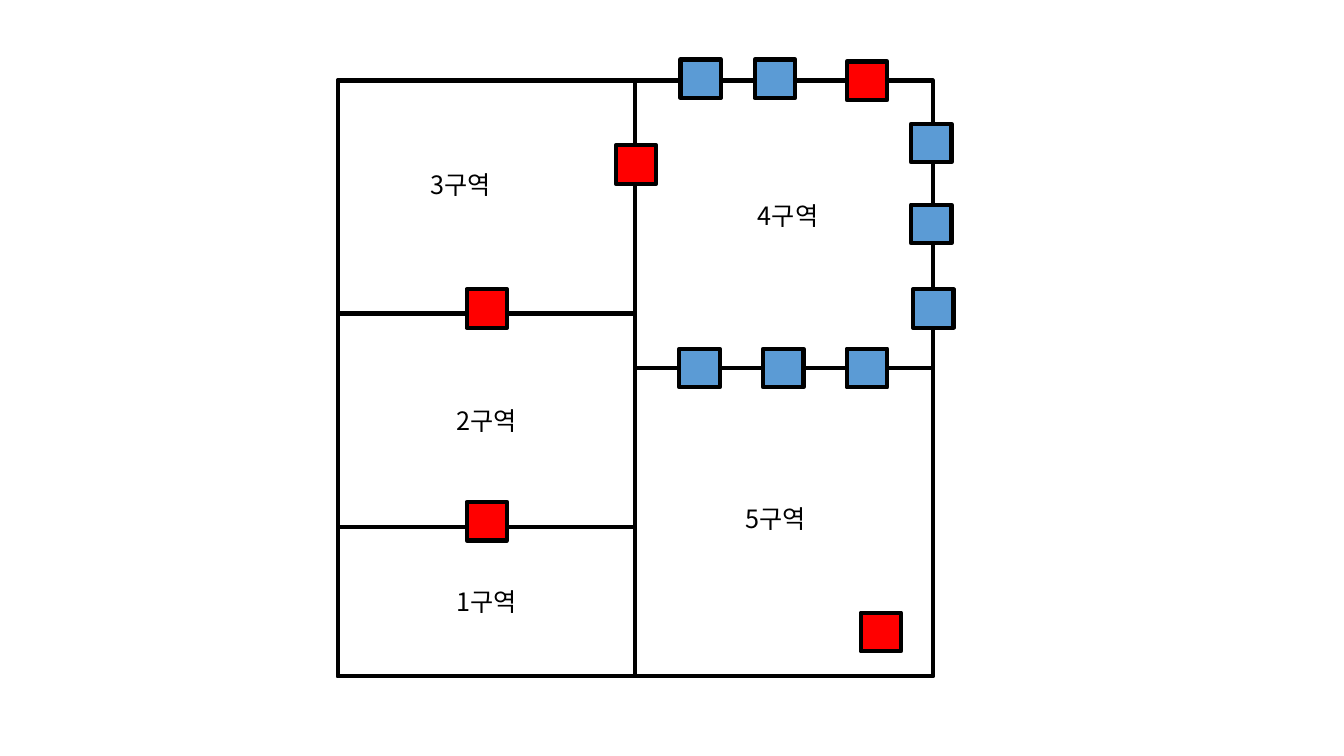
from dataclasses import dataclass

from lxml.etree import SubElement
from pptx import Presentation
from pptx.dml.color import RGBColor
from pptx.enum.shapes import MSO_SHAPE as Preset
from pptx.enum.text import MSO_ANCHOR as Anchor, MSO_AUTO_SIZE as AutoSize, PP_ALIGN as Align
from pptx.oxml.ns import qn
from pptx.shapes.autoshape import Shape
from pptx.shapes.shapetree import SlideShapes
from pptx.text.text import TextFrame
from pptx.util import Cm, Pt

WHITE = RGBColor(0xFF, 0xFF, 0xFF)
BLACK = RGBColor(0x00, 0x00, 0x00)
RED = RGBColor(0xFF, 0x00, 0x00)
BLUE = RGBColor(0x5B, 0x9B, 0xD5)
FONT = "Noto Sans CJK KR"

# Floor plan geometry in centimetres
LEFT, TOP, SIDE = 8.51, 2.03, 15
HALF = SIDE / 2
BOTTOM = TOP + SIDE
ZONE_2_TOP, ZONE_1_TOP, ZONE_5_TOP = 7.9, 13.28, 9.27
MARKER_WIDTH, MARKER_HEIGHT = 1.02, 0.97
LABEL_WIDTH, LABEL_HEIGHT = 2.18, 1.02
LOWER_ROW_LEFT, LOWER_ROW_TOP, LOWER_ROW_STEP = 17.12, 8.79, 2.11


@dataclass(frozen=True)
class Room:
    """A walled area, optionally with its zone name."""
    left: float
    top: float
    width: float
    height: float
    zone: str = ""


@dataclass(frozen=True)
class Marker:
    """A small coloured box on the plan."""
    left: float
    top: float
    color: RGBColor


@dataclass(frozen=True)
class Label:
    """A free-standing zone name."""
    left: float
    top: float
    zone: str


ROOMS = [
    Room(LEFT, TOP, SIDE, SIDE),
    Room(LEFT, TOP, HALF, SIDE),
    Room(LEFT, ZONE_1_TOP, HALF, BOTTOM - ZONE_1_TOP, "1구역"),
    Room(LEFT, ZONE_2_TOP, HALF, ZONE_1_TOP - ZONE_2_TOP, "2구역"),
    Room(LEFT + HALF, ZONE_5_TOP, HALF, BOTTOM - ZONE_5_TOP),
]
MARKERS = [
    Marker(11.76, 12.65, RED),
    Marker(11.76, 7.29, RED),
    Marker(15.52, 3.66, RED),
    *(Marker(LOWER_ROW_LEFT + i * LOWER_ROW_STEP, LOWER_ROW_TOP, BLUE) for i in range(3)),
    Marker(23.01, 7.29, BLUE),
    Marker(22.96, 5.16, BLUE),
    Marker(22.96, 3.12, BLUE),
    Marker(21.34, 1.55, RED),
    Marker(19.02, 1.5, BLUE),
    Marker(17.15, 1.5, BLUE),
    Marker(21.69, 15.44, RED),
]
LABELS = [
    Label(10.59, 4.14, "3구역"),
    Label(18.85, 4.93, "4구역"),
    Label(18.54, 12.57, "5구역"),
]


def write_zone(frame: TextFrame, zone: str, align: Align) -> None:
    """Write a zone name in the plan's type style."""
    paragraph = frame.paragraphs[0]
    paragraph.text = zone
    paragraph.alignment = align
    # Run level: paragraph defaults lose to the shape style's white text
    font = paragraph.runs[0].font
    font.name, font.size = FONT, Pt(18)
    font.color.rgb = BLACK
    SubElement(paragraph.runs[0]._r.get_or_add_rPr(), qn("a:ea"), typeface=FONT)


def draw_box(shapes: SlideShapes, left: float, top: float, width: float,
             height: float, color: RGBColor) -> Shape:
    """Draw a filled rectangle with the heavy black outline."""
    box = shapes.add_shape(Preset.RECTANGLE, Cm(left), Cm(top), Cm(width), Cm(height))
    box.shadow.inherit = False
    box.fill.solid()
    box.fill.fore_color.rgb = color
    box.line.color.rgb = BLACK
    box.line.width = Pt(3)
    return box


def draw_room(shapes: SlideShapes, room: Room) -> None:
    """Draw a room and, if it has one, its centred zone name."""
    box = draw_box(shapes, room.left, room.top, room.width, room.height, WHITE)
    if room.zone:
        box.text_frame.vertical_anchor = Anchor.MIDDLE
        write_zone(box.text_frame, room.zone, Align.CENTER)


def draw_marker(shapes: SlideShapes, marker: Marker) -> None:
    """Draw one coloured marker."""
    draw_box(shapes, marker.left, marker.top, MARKER_WIDTH, MARKER_HEIGHT, marker.color)


def draw_label(shapes: SlideShapes, label: Label) -> None:
    """Draw a free-standing zone name."""
    frame = shapes.add_textbox(Cm(label.left), Cm(label.top),
                               Cm(LABEL_WIDTH), Cm(LABEL_HEIGHT)).text_frame
    frame.word_wrap = False
    frame.auto_size = AutoSize.SHAPE_TO_FIT_TEXT
    write_zone(frame, label.zone, Align.LEFT)


def main() -> None:
    """Build the floor plan slide."""
    deck = Presentation()
    deck.slide_width, deck.slide_height = Cm(33.87), Cm(19.05)
    shapes = deck.slides.add_slide(deck.slide_layouts[6]).shapes
    for room in ROOMS:
        draw_room(shapes, room)
    for marker in MARKERS:
        draw_marker(shapes, marker)
    for label in LABELS:
        draw_label(shapes, label)
    deck.save("out.pptx")


main()
